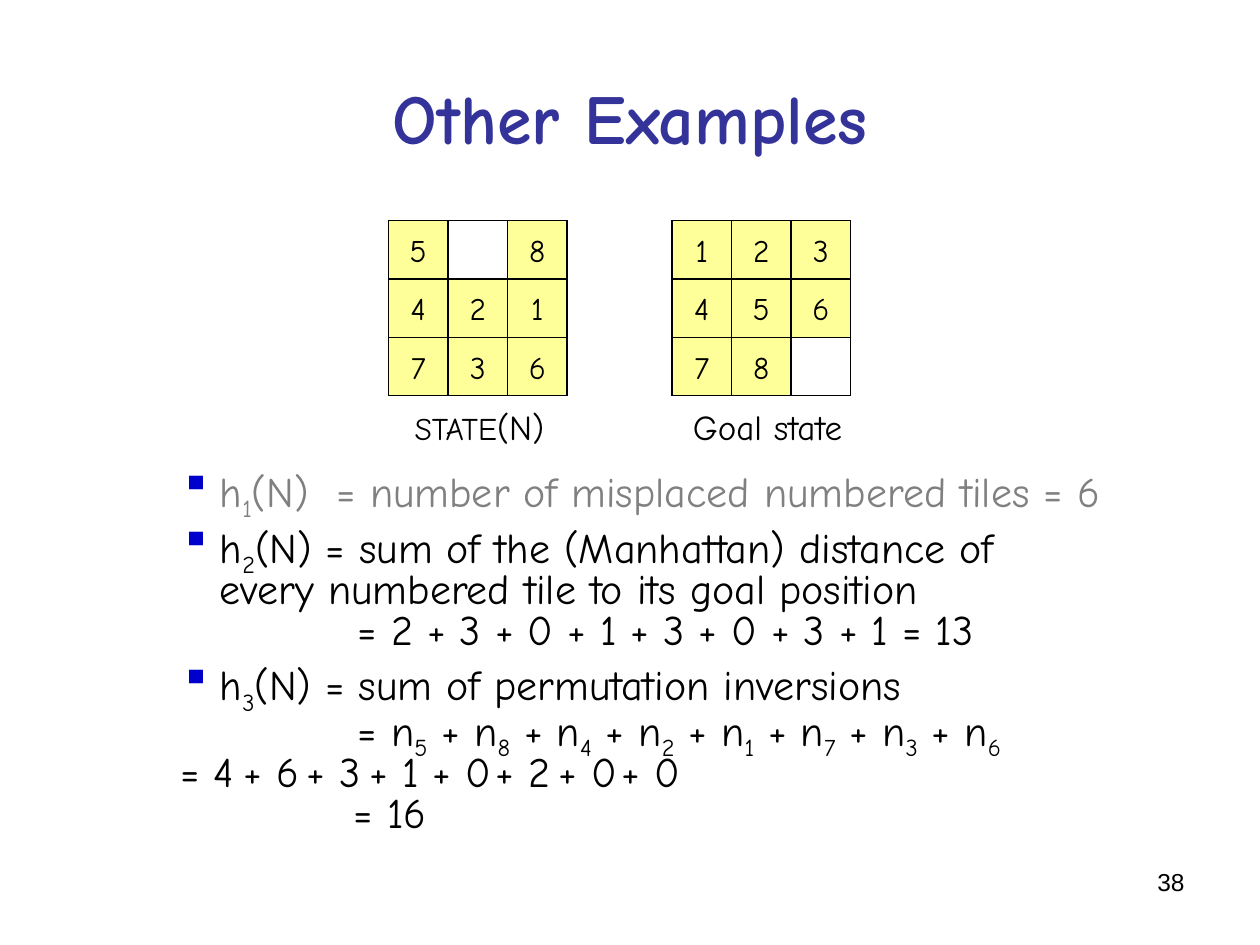
from lxml import etree
from pptx import Presentation
from pptx.dml.color import RGBColor
from pptx.enum.shapes import MSO_SHAPE
from pptx.enum.text import MSO_ANCHOR, MSO_AUTO_SIZE, PP_ALIGN
from pptx.oxml.ns import qn
from pptx.util import Inches, Pt

RECTANGLE = MSO_SHAPE.RECTANGLE
MIDDLE = MSO_ANCHOR.MIDDLE
GROW = MSO_AUTO_SIZE.SHAPE_TO_FIT_TEXT
LEFT, CENTER, RIGHT = PP_ALIGN.LEFT, PP_ALIGN.CENTER, PP_ALIGN.RIGHT

THEME = {
    "ink": RGBColor(0x00, 0x00, 0x00),
    "muted": RGBColor(0x80, 0x80, 0x80),
    "title": RGBColor(0x33, 0x33, 0x99),
    "tile": RGBColor(0xFF, 0xFF, 0x99),
    "bullet": "0000CC",
    "font": "Comic Neue",
    "number_font": "Arial",
    "title_size": Pt(40),
    "body_size": Pt(24),
    "label_size": Pt(20),
    "tile_size": Pt(18),
    "number_size": Pt(14),
    "line": Pt(0.75),
}

presentation = Presentation()
presentation.slide_width = Inches(10)
presentation.slide_height = Inches(7.5)
slide = presentation.slides.add_slide(presentation.slide_layouts[6])
column = presentation.slide_width / 120
row = presentation.slide_height / 90


def place(shapes, box, frame_format, preset=None):
    left, top, width, height = box
    bounds = [int(left * column), int(top * row), int(width * column), int(height * row)]
    shape = shapes.add_textbox(*bounds) if preset is None else shapes.add_shape(preset, *bounds)
    for name, value in frame_format.items():
        setattr(shape.text_frame, name, value)
    return shape


def write(paragraph, text, size, color=THEME["ink"], font=THEME["font"], bold=False, align=LEFT):
    paragraph.alignment = align
    for line_index, line in enumerate(text.split("\n")):
        if line_index:
            paragraph.add_line_break()
        first, *rest = line.split("_")
        pieces = [(first, 0)]
        for part in rest:
            pieces += [(part[0], -25000), (part[1:], 0)]
        for words, baseline in pieces:
            if not words:
                continue
            run = paragraph.add_run()
            run.text = words
            for name, value in {"name": font, "size": size, "bold": bold}.items():
                setattr(run.font, name, value)
            run.font.color.rgb = color
            if baseline:
                run._r.get_or_add_rPr().set("baseline", str(baseline))


number = place(slide.shapes, (86, 82, 28, 6.2), {"word_wrap": True})
write(number.text_frame.paragraphs[0], "38", THEME["number_size"],
      font=THEME["number_font"], align=RIGHT)

body = place(slide.shapes, (10, 20, 102, 63), {"word_wrap": True, "margin_top": int(24.8 * row)})
sum_stops = [22.5, 30.4, 38.3, 46.8, 55.2, 62.8, 71.3, 79.6]
body_lines = [
    {"text": "h_1(N)  = number of misplaced numbered tiles = 6", "bullet": True,
     "color": THEME["muted"], "before": 0},
    {"text": "h_2(N) = sum of the (Manhattan) distance of\nevery numbered tile to its goal position",
     "bullet": True, "before": 6},
    {"text": "= 2 + 3 + 0 + 1 + 3 + 0 + 3 + 1 = 13", "indent": 22.9},
    {"text": "h_3(N) = sum of permutation inversions", "bullet": True, "before": 6},
    {"text": "= n_5 + n_8 + n_4 + n_2 + n_1 + n_7 + n_3 + n_6", "indent": 22.9},
    {"text": "\t= 4\t+ 6\t+ 3\t+ 1\t+ 0\t+ 2\t+ 0\t+ 0", "indent": 0, "stops": sum_stops},
    {"text": "= 16", "indent": 22.5},
]
for index, line in enumerate(body_lines):
    paragraph = body.text_frame.paragraphs[0] if index == 0 else body.text_frame.add_paragraph()
    write(paragraph, line["text"], THEME["body_size"], line.get("color", THEME["ink"]))
    for name, value in {"line_spacing": 0.8, "space_before": Pt(line.get("before", 0))}.items():
        setattr(paragraph, name, value)
    properties = paragraph._p.get_or_add_pPr()
    properties.set("marL", str(int(line.get("indent", 9.75) * column)))
    properties.set("indent", str(int(-3.75 * column) if "bullet" in line else 0))
    if "bullet" in line:
        bullet_color = etree.SubElement(properties, qn("a:buClr"))
        etree.SubElement(bullet_color, qn("a:srgbClr"), val=THEME["bullet"])
        etree.SubElement(properties, qn("a:buChar"), char="▪")
    else:
        etree.SubElement(properties, qn("a:buNone"))
    if "stops" in line:
        tab_list = etree.SubElement(properties, qn("a:tabLst"))
        for stop in line["stops"]:
            etree.SubElement(tab_list, qn("a:tab"), pos=str(int(stop * column)), algn="l")

title = place(slide.shapes, (6, 3.6, 108, 15), {"word_wrap": True, "vertical_anchor": MIDDLE})
write(title.text_frame.paragraphs[0], "Other Examples", THEME["title_size"],
      THEME["title"], bold=True, align=CENTER)

board_top, board_width, board_height = 21, 17, 16.7
tile_width, tile_height = board_width / 3, board_height / 3
boards = [
    {"left": 37, "tiles": ["5", "", "8", "4", "2", "1", "7", "3", "6"],
     "label_box": (38.3, 38, 15.2, 5.3),
     "label": [("STATE", THEME["tile_size"]), ("(N)", THEME["label_size"])]},
    {"left": 64, "tiles": ["1", "2", "3", "4", "5", "6", "7", "8", ""],
     "label_box": (64.8, 38, 16.8, 5.3),
     "label": [("Goal state", THEME["label_size"])]},
]
for board in boards:
    shapes = slide.shapes.add_group_shape().shapes
    cells = [("", (board["left"], board_top, board_width, board_height))]
    for position, digit in enumerate(board["tiles"]):
        tile_row, tile_column = divmod(position, 3)
        if digit:
            cells.append((digit, (board["left"] + tile_column * tile_width,
                                  board_top + tile_row * tile_height, tile_width, tile_height)))
    for digit, box in cells:
        tile = place(shapes, box, {"word_wrap": False, "vertical_anchor": MIDDLE}, RECTANGLE)
        tile.shadow.inherit = False
        tile.line.color.rgb = THEME["ink"]
        tile.line.width = THEME["line"]
        if digit:
            tile.fill.solid()
            tile.fill.fore_color.rgb = THEME["tile"]
            write(tile.text_frame.paragraphs[0], digit, THEME["tile_size"], align=CENTER)
        else:
            tile.fill.background()
    label = place(shapes, board["label_box"], {"word_wrap": False, "auto_size": GROW})
    for words, size in board["label"]:
        write(label.text_frame.paragraphs[0], words, size)

presentation.save("out.pptx")
